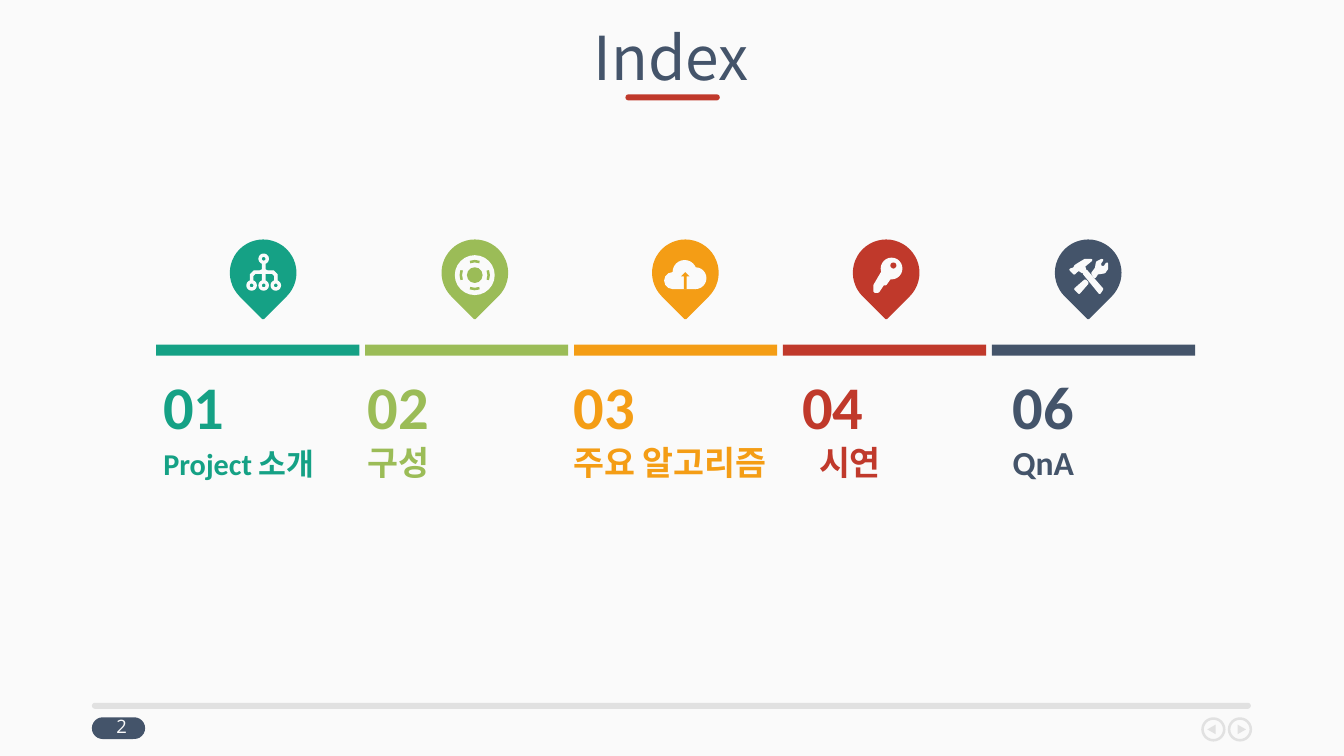
import pptx
import pptx.util
import pptx.dml.color
import pptx.enum.shapes
import pptx.enum.text

Inches = pptx.util.Inches
Pt = pptx.util.Pt
Kind = pptx.enum.shapes.MSO_SHAPE
Align = pptx.enum.text.PP_ALIGN
Anchor = pptx.enum.text.MSO_ANCHOR

PALE, NAVY, GREY = "FAFAFA", "44546A", "E1E1E1"
TEAL, LIME, GOLD, RED = "15A185", "9BBC57", "F49D15", "C0392B"


def tint(fill, hue):
    fill.solid()
    fill.fore_color.rgb = pptx.dml.color.RGBColor.from_string(hue)


def draw(kind, left, top, width, height, hue=None, line=None, weight=1.5):
    shape = slide.shapes.add_shape(
        kind, Inches(left), Inches(top), Inches(width), Inches(height))
    shape.shadow.inherit = False
    if hue:
        tint(shape.fill, hue)
    else:
        shape.fill.background()
    if line:
        tint(shape.line.fill, line)
        shape.line.width = Pt(weight)
    else:
        shape.line.fill.background()
    return shape


deck = pptx.Presentation()
deck.slide_width, deck.slide_height = Inches(11.11), Inches(6.25)
slide = deck.slides.add_slide(deck.slide_layouts[6])
tint(slide.background.fill, PALE)

pills = [(0.76, 5.93, 0.44, 0.18, NAVY), (5.17, 0.78, 0.78, 0.05, RED),
         (0.76, 5.81, 9.58, 0.05, GREY)]
for pill in pills:
    draw(Kind.ROUNDED_RECTANGLE, *pill).adjustments[0] = 0.5

for left in (9.94, 10.16):
    draw(Kind.OVAL, left, 5.94, 0.18, 0.18, line=GREY)

labels = [("Index", 0.76, 0.27, 9.58, 0.47, 36, "Noto Sans CJK KR", NAVY),
          ("2", 0.72, 5.89, 0.57, 0.25, 11, "Open Sans", PALE)]
for text, left, top, width, height, size, face, hue in labels:
    box = slide.shapes.add_textbox(
        Inches(left), Inches(top), Inches(width), Inches(height))
    frame = box.text_frame
    frame.word_wrap = True
    frame.vertical_anchor = Anchor.MIDDLE
    frame.text = text
    line = frame.paragraphs[0]
    line.alignment = Align.CENTER
    line.line_spacing = 0.9
    font = line.runs[0].font
    font.size, font.name = Pt(size), face
    tint(font.fill, hue)

steps = [("01", "Project 소개", TEAL, 1.91, 1.35, 18),
         ("02", "구성", LIME, 3.66, 3.04, 20),
         ("03", "주요 알고리즘", GOLD, 5.4, 4.74, 20),
         ("04", "시연", RED, 7.06, 6.63, 20),
         ("06", "QnA", NAVY, 8.73, 8.37, 20)]
pitch = (8.2 - 1.29) / 4
for col, (number, topic, hue, pin, left, size) in enumerate(steps):
    draw(Kind.RECTANGLE, 1.29 + col * pitch, 2.85, 1.68, 0.09, hue)
    draw(Kind.TEAR, pin, 1.99, 0.53, 0.53, hue, hue).rotation = 135
    box = slide.shapes.add_textbox(
        Inches(left), Inches(3.05), Inches(1.82), Inches(0.8))
    frame = box.text_frame
    frame.word_wrap = True
    frame.margin_left = frame.margin_top = frame.margin_bottom = 0
    frame.margin_right = Inches(0.07)
    frame.text = number + "\n" + topic
    for line, points in zip(frame.paragraphs, (36, size)):
        font = line.runs[0].font
        font.size, font.name, font.bold = Pt(points), "Calibri", True
        tint(font.fill, hue)
    if size == 18:
        frame.paragraphs[1].space_before = Pt(2)
    if topic == "시연":
        frame.paragraphs[1]._p.get_or_add_pPr().set("marL", str(Inches(0.14)))

for x, y in [(2.18, 2.14), (2.08, 2.36), (2.18, 2.36), (2.28, 2.36)]:
    draw(Kind.OVAL, x - 0.03, y - 0.03, 0.06, 0.06, line=PALE, weight=2)

draw(Kind.OVAL, 3.76, 2.11, 0.33, 0.33, PALE)
draw(Kind.OVAL, 3.86, 2.21, 0.13, 0.13, LIME)
for angle in range(0, 360, 90):
    arc = draw(Kind.ARC, 3.81, 2.16, 0.23, 0.23, line=LIME)
    arc.adjustments[0] = (angle - 20) % 360 * 0.6
    arc.adjustments[1] = (angle + 20) * 0.6

for puff in [(5.56, 2.15, 0.2, 0.2), (5.49, 2.25, 0.14, 0.14),
             (5.66, 2.21, 0.18, 0.18)]:
    draw(Kind.OVAL, *puff, PALE)
draw(Kind.RECTANGLE, 5.56, 2.29, 0.19, 0.1, PALE)
draw(Kind.UP_ARROW, 5.63, 2.25, 0.07, 0.14, GOLD).adjustments[0] = 0.3

draw(Kind.OVAL, 7.28, 2.13, 0.18, 0.18, PALE)
draw(Kind.OVAL, 7.36, 2.17, 0.05, 0.05, RED)

prongs = [(2.17, 2.17), (2.19, 2.17), (2.19, 2.23), (2.21, 2.24),
          (2.26, 2.24), (2.29, 2.27), (2.29, 2.33), (2.27, 2.33),
          (2.27, 2.28), (2.25, 2.26), (2.19, 2.26), (2.19, 2.33),
          (2.17, 2.33), (2.17, 2.26), (2.11, 2.26), (2.09, 2.28),
          (2.09, 2.33), (2.07, 2.33), (2.07, 2.27), (2.1, 2.24),
          (2.15, 2.24), (2.17, 2.23)]
blade = [(7.3, 2.24), (7.23, 2.36), (7.23, 2.41), (7.26, 2.41),
         (7.3, 2.35), (7.32, 2.35), (7.37, 2.28)]
head = [(8.9, 2.24), (8.92, 2.23), (8.95, 2.25), (8.97, 2.23),
        (8.96, 2.2), (9.02, 2.15), (8.97, 2.15), (8.92, 2.18),
        (8.89, 2.2), (8.88, 2.22), (8.85, 2.23), (8.88, 2.26)]
shaft = [(8.98, 2.24), (8.96, 2.26), (9.09, 2.42), (9.11, 2.39)]
wrench = [(9.15, 2.18), (9.13, 2.21), (9.1, 2.21), (9.09, 2.18),
          (9.11, 2.15), (9.07, 2.17), (9.06, 2.22), (9.03, 2.26),
          (9.05, 2.29), (9.07, 2.26), (9.13, 2.25), (9.15, 2.22)]
grip = [(8.89, 2.39), (8.92, 2.42), (8.99, 2.34), (8.97, 2.32)]
back = [(10.05, 5.99), (9.98, 6.03), (10.05, 6.07)]
ahead = [(10.23, 5.99), (10.3, 6.03), (10.23, 6.07)]
forms = [(prongs, PALE, 0.75), (blade, PALE, 1.5), (head, PALE, 1.5),
         (shaft, PALE, 1.5), (wrench, PALE, 1.5), (grip, PALE, 1.5),
         (back, GREY, 0), (ahead, GREY, 0)]
for points, hue, weight in forms:
    spots = [(Inches(x), Inches(y)) for x, y in points]
    path = slide.shapes.build_freeform(*spots[0])
    path.add_line_segments(spots[1:])
    form = path.convert_to_shape()
    form.shadow.inherit = False
    tint(form.fill, hue)
    if weight:
        tint(form.line.fill, hue)
        form.line.width = Pt(weight)
    else:
        form.line.fill.background()

deck.save("out.pptx")
